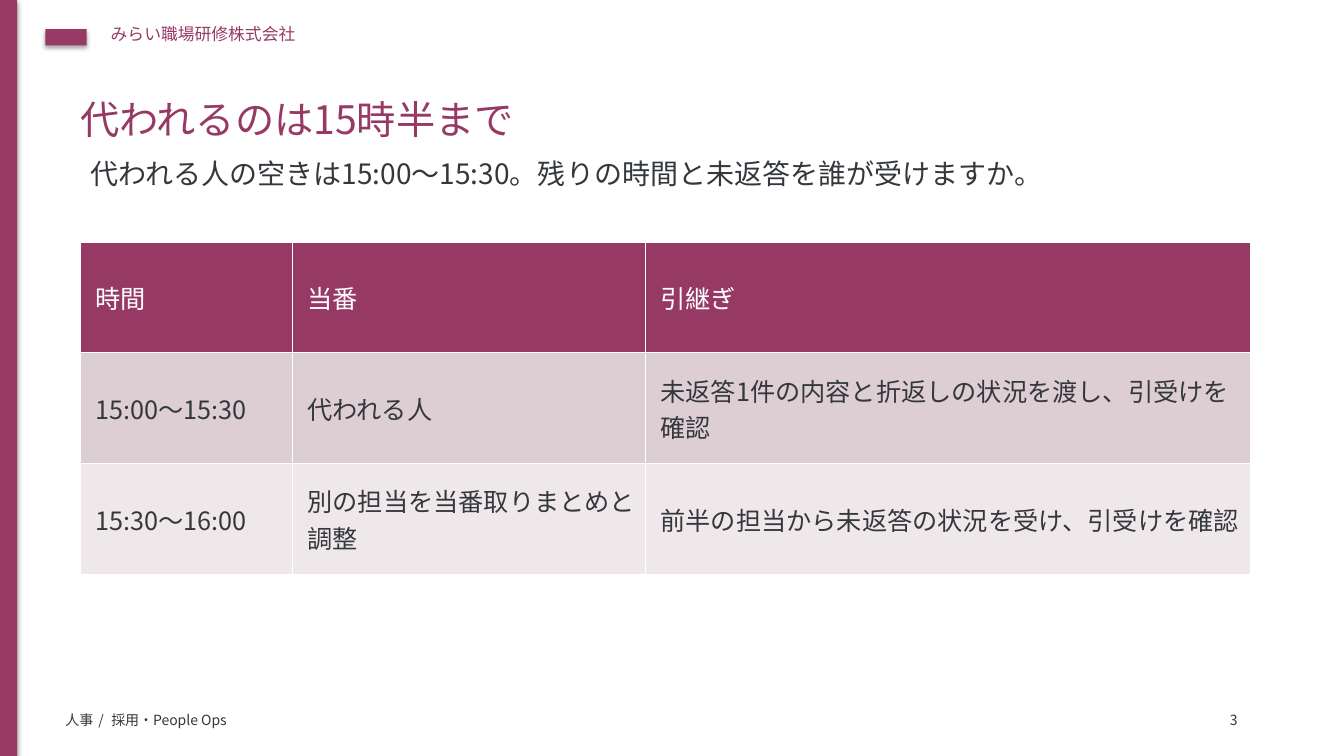
from pptx import Presentation
from pptx.dml.color import RGBColor
from pptx.enum.shapes import MSO_SHAPE
from pptx.enum.text import MSO_ANCHOR
from pptx.oxml.ns import qn
from pptx.util import Pt
from lxml.etree import SubElement

PX = 9144
FONT = "Noto Sans CJK JP"
PLUM = RGBColor(0x96, 0x3A, 0x65)
INK = RGBColor(0x34, 0x38, 0x3C)
WHITE = RGBColor(0xFF, 0xFF, 0xFF)
ROSE = RGBColor(0xDD, 0xCE, 0xD3)
PALE = RGBColor(0xEF, 0xE8, 0xEA)


class Deck:
    def __init__(self, width, height):
        self.prs = Presentation()
        self.prs.slide_width = width * PX
        self.prs.slide_height = height * PX
        self.s = self.prs.slides.add_slide(self.prs.slide_layouts[6])

    def run(self, p, text, size, color, spacing=0):
        r = p.add_run()
        r.text = text
        r.font.name = FONT
        r.font.size = Pt(size)
        r.font.bold = False
        r.font.color.rgb = color
        rPr = r._r.get_or_add_rPr()
        SubElement(rPr, qn("a:ea"), typeface=FONT)
        if spacing:
            rPr.set("spc", str(spacing))

    def block(self, x, y, w, h, color):
        sp = self.s.shapes.add_shape(MSO_SHAPE.RECTANGLE, x * PX, y * PX, w * PX, h * PX)
        sp.fill.solid()
        sp.fill.fore_color.rgb = color
        sp.line.fill.background()

    def text(self, x, y, w, h, size, color, *runs):
        tf = self.s.shapes.add_textbox(x * PX, y * PX, w * PX, h * PX).text_frame
        tf.word_wrap = True
        for text, spacing in runs:
            self.run(tf.paragraphs[0], text, size, color, spacing)

    def table(self, x, y, widths, row_height, rows, styles):
        frame = self.s.shapes.add_table(
            len(rows), len(widths), x * PX, y * PX,
            sum(widths) * PX, row_height * len(rows) * PX)
        table = frame.table
        for column, width in zip(table.columns, widths):
            column.width = width * PX
        for row, texts, (fill, color) in zip(table.rows, rows, styles):
            row.height = row_height * PX
            for cell, text in zip(row.cells, texts):
                cell.fill.solid()
                cell.fill.fore_color.rgb = fill
                cell.vertical_anchor = MSO_ANCHOR.MIDDLE
                cell.margin_left = 15 * PX
                cell.margin_right = 10 * PX
                cell.margin_top = cell.margin_bottom = 5 * PX
                self.run(cell.text_frame.paragraphs[0], text, 18, color)


def main():
    deck = Deck(1333, 750)
    deck.block(0, 0, 17, 750, PLUM)
    deck.block(45, 29, 41, 16, PLUM)
    deck.text(100, 19, 800, 40, 12, PLUM, ("みらい職場研修株式会社", 0))
    deck.text(55, 701, 1000, 30, 10, INK,
              ("人事", 0), (" / ", 150), ("採用・People Ops", 0))
    deck.text(70, 90, 1180, 85, 28, PLUM, ("代われるのは15時半まで", 0))
    deck.text(1210, 701, 50, 30, 10, INK, ("3", 0))
    deck.text(80, 150, 1150, 70, 20, INK,
              ("代われる人の空きは15:00〜15:30。残りの時間と未返答を誰が受けますか。", 0))
    rows = [
        ("時間", "当番", "引継ぎ"),
        ("15:00〜15:30", "代われる人", "未返答1件の内容と折返しの状況を渡し、引受けを確認"),
        ("15:30〜16:00", "別の担当を当番取りまとめと調整", "前半の担当から未返答の状況を受け、引受けを確認"),
    ]
    styles = [(PLUM, WHITE), (ROSE, INK), (PALE, INK)]
    deck.table(80, 240, (210, 350, 600), 110, rows, styles)
    deck.prs.save("out.pptx")


if __name__ == "__main__":
    main()
